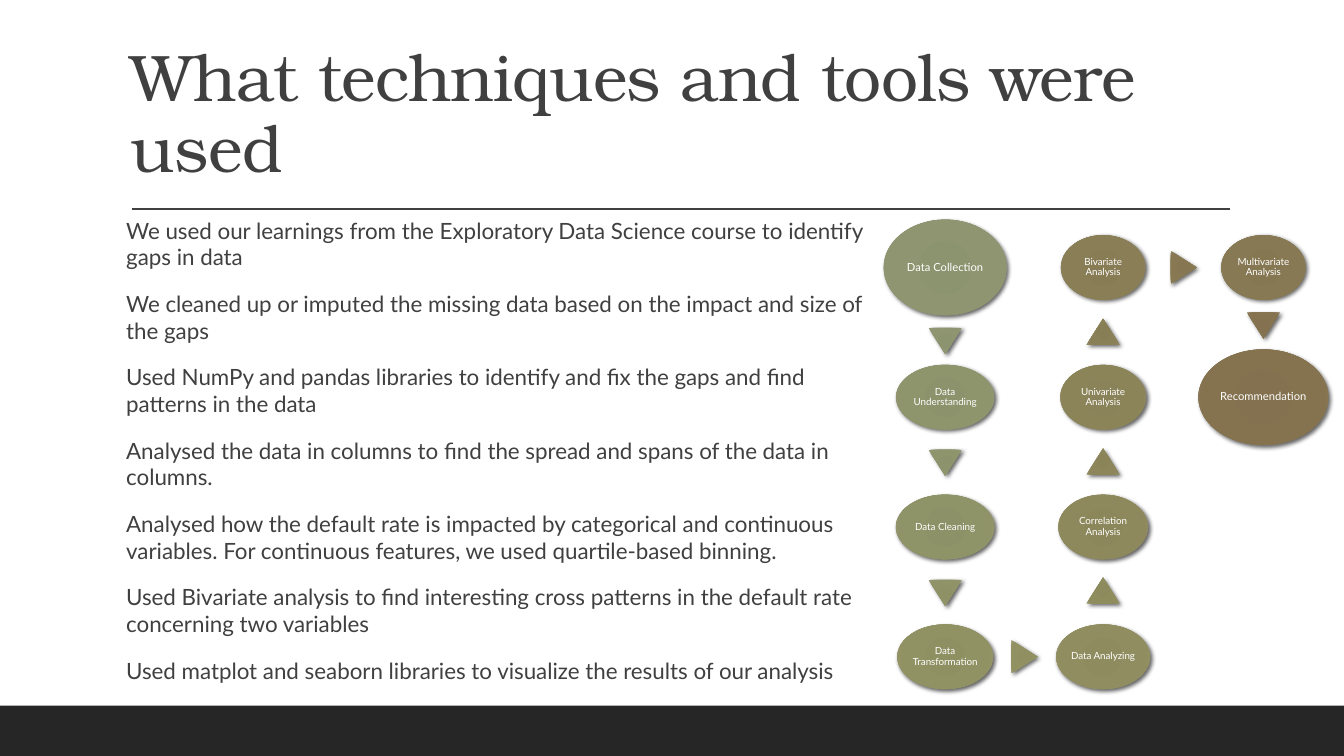
from lxml import etree
from pptx import Presentation
from pptx.dml.color import RGBColor
from pptx.enum import shapes, text
from pptx.oxml import ns
from pptx.util import Cm, Pt

DARK, WHITE = "404040", "FFFFFF"
SANS, SERIF = "Lato", "TeX Gyre Bonum"
TITLE = "What techniques and tools were used"
POINTS = [
    "We used our learnings from the Exploratory Data Science course to identify gaps in data",
    "We cleaned up or imputed the missing data based on the impact and size of the gaps",
    "Used NumPy and pandas libraries to identify and fix the gaps and find patterns in the data",
    "Analysed the data in columns to find the spread and spans of the data in columns.",
    "Analysed how the default rate is impacted by categorical and continuous variables. "
    "For continuous features, we used quartile-based binning.",
    "Used Bivariate analysis to find interesting cross patterns in the default rate "
    "concerning two variables",
    "Used matplot and seaborn libraries to visualize the results of our analysis",
]

# Flow grid in cm: column centres, first row centre and row pitch
COLS = [23.82, 27.8, 31.84]
TOP, PITCH = 6.74, 3.27
# Label, column, row, width, height, font size, colour
STEPS = [
    ("Data Collection", 0, 0, 3.1, 2.41, 8, "8B926D"),
    ("Data Understanding", 0, 1, 2.48, 1.63, 7, "8B9169"),
    ("Data Cleaning", 0, 2, 2.49, 1.63, 7, "8C9065"),
    ("Data Transformation", 0, 3, 2.42, 1.63, 7, "8E8F60"),
    ("Data Analyzing", 1, 3, 2.37, 1.63, 7, "8D8B5D"),
    ("Correlation Analysis", 1, 2, 2.26, 1.63, 7, "8B8659"),
    ("Univariate Analysis", 1, 1, 2.16, 1.63, 7, "898156"),
    ("Bivariate Analysis", 1, 0, 2.13, 1.63, 7, "877B53"),
    ("Multivariate Analysis", 2, 0, 2.13, 1.63, 7, "847650"),
    ("Recommendation", 2, 1, 3.28, 2.41, 8, "82704D"),
]
# Centre x, centre y, turn, colour
ARROWS = [
    (COLS[0], 8.59, 180, "8B926D"),
    (COLS[0], 11.66, 180, "8B9169"),
    (COLS[0], 14.94, 180, "8D8F64"),
    (25.82, TOP + 3 * PITCH, 90, "8E8E5F"),
    (COLS[1], 14.88, 0, "8C895B"),
    (COLS[1], 11.63, 0, "8A8357"),
    (COLS[1], 8.36, 0, "877D54"),
    (29.83, TOP, 90, "857650"),
    (COLS[2], 8.2, 180, "82704D"),
]
# Gradient stops: place in percent and what is added to red, green, blue
STOPS = [(0, (0, 0, 0)), (34, (1, 1, 2)), (70, (3, 3, 3)), (100, (8, 7, 11))]


def rgb(code):
    return RGBColor.from_string(code)


def place(shape, x, y, w, h):
    shape.left, shape.top, shape.width, shape.height = Cm(x), Cm(y), Cm(w), Cm(h)


def write(shape, lines, size=16, font=SANS, color=DARK, align=text.PP_ALIGN.LEFT,
          anchor=text.MSO_ANCHOR.TOP, inset=(0.25, 0.13), lead=1, before=0, after=0,
          track=0):
    frame = shape.text_frame
    frame.text = "\n".join(lines)
    frame.word_wrap = True
    frame.auto_size = text.MSO_AUTO_SIZE.NONE
    frame.vertical_anchor = anchor
    frame.margin_left = frame.margin_right = Cm(inset[0])
    frame.margin_top = frame.margin_bottom = Cm(inset[1])
    for para in frame.paragraphs:
        para.alignment, para.line_spacing = align, lead
        para.space_before, para.space_after = Pt(before), Pt(after)
        run = para.runs[0].font
        run.name, run.size, run.bold = font, Pt(size), False
        run.color.rgb = rgb(color)
        if track:
            para.runs[0]._r.get_or_add_rPr().set("spc", str(track))


def plain(shape):
    # Remove list bullets and their indents
    for para in shape.text_frame.paragraphs:
        props = para._p.get_or_add_pPr()
        props.set("marL", "0")
        props.set("indent", "0")
        etree.SubElement(props, ns.qn("a:buNone"))


def shade(shape, code):
    # Radial gradient and soft shadow
    shape.line.fill.background()
    base = rgb(code)
    stops = "".join(
        f'<a:gs pos="{pos * 1000}"><a:srgbClr val="'
        f'{RGBColor(*(b + a for b, a in zip(base, add)))}"/></a:gs>'
        for pos, add in STOPS)
    grad = etree.fromstring(
        f'<a:gradFill {ns.nsdecls("a")} rotWithShape="1"><a:gsLst>{stops}</a:gsLst>'
        '<a:path path="circle"><a:fillToRect l="100000" t="100000" r="100000" b="100000"/>'
        '</a:path></a:gradFill>')
    glow = etree.fromstring(
        f'<a:effectLst {ns.nsdecls("a")}><a:outerShdw blurRad="38100" dist="25400" '
        'dir="2700000" rotWithShape="0"><a:srgbClr val="000000"><a:alpha val="60000"/>'
        '</a:srgbClr></a:outerShdw></a:effectLst>')
    props = shape._element.spPr
    props.find(ns.qn("a:ln")).addprevious(grad)
    props.append(glow)


def centred(slide, kind, x, y, w, h, code):
    shape = slide.shapes.add_shape(kind, Cm(x - w / 2), Cm(y - h / 2), Cm(w), Cm(h))
    shade(shape, code)
    return shape


def step(slide, label, col, row, w, h, size, code):
    oval = centred(slide, shapes.MSO_SHAPE.OVAL, COLS[col], TOP + row * PITCH, w, h, code)
    write(oval, [label], size=size, color=WHITE, align=text.PP_ALIGN.CENTER,
          anchor=text.MSO_ANCHOR.MIDDLE, inset=(0.02, 0.02), lead=0.9)


def arrow(slide, x, y, turn, code):
    head = centred(slide, shapes.MSO_SHAPE.ISOSCELES_TRIANGLE, x, y, 0.84, 0.66, code)
    head.rotation = turn


def band(slide):
    bar = slide.shapes.add_shape(shapes.MSO_SHAPE.RECTANGLE, 0, Cm(17.78), Cm(33.87), Cm(1.27))
    bar.shadow.inherit = False
    bar.fill.solid()
    bar.fill.fore_color.rgb = rgb("262626")
    bar.line.fill.background()


def rule(slide):
    line = slide.shapes.add_connector(shapes.MSO_CONNECTOR.STRAIGHT,
                                      Cm(3.33), Cm(5.27), Cm(31), Cm(5.27))
    line.line.color.rgb = rgb(DARK)
    line.line.width = Pt(1)
    etree.SubElement(line._element.spPr, ns.qn("a:effectLst"))


def main():
    deck = Presentation()
    deck.slide_width, deck.slide_height = Cm(33.87), Cm(19.05)
    slide = deck.slides.add_slide(deck.slide_layouts[1])

    # Footer band and title rule
    band(slide)
    rule(slide)

    # Title and list
    title, body = slide.shapes.title, slide.placeholders[1]
    place(title, 3.05, 0.79, 27.91, 4.04)
    write(title, [TITLE], size=47, font=SERIF, anchor=text.MSO_ANCHOR.BOTTOM,
          lead=0.9, track=-50)
    place(body, 3.18, 5.33, 19, 12.42)
    write(body, POINTS, inset=(0, 0.13), before=12, after=2)
    plain(body)

    # Process flow
    for item in STEPS:
        step(slide, *item)
    for item in ARROWS:
        arrow(slide, *item)

    deck.save("out.pptx")


if __name__ == "__main__":
    main()
